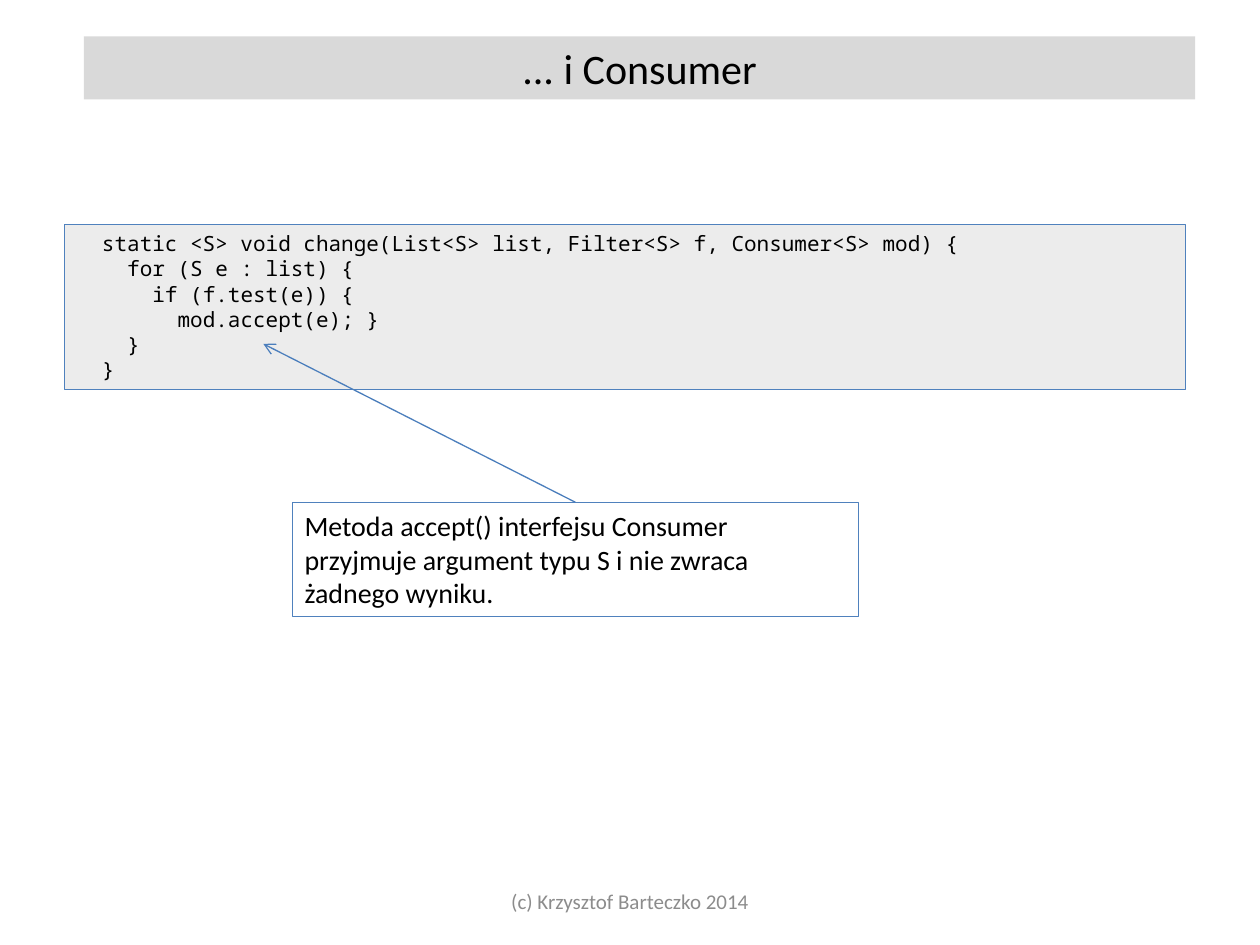
from dataclasses import dataclass

from lxml import etree
from pptx import Presentation
from pptx import util as u
from pptx.dml.color import RGBColor
from pptx.enum import shapes, text
from pptx.oxml import ns


@dataclass(frozen=True)
class Theme:
    """Colours, fonts and type sizes of the slide."""
    ink: str = "000000"
    muted: str = "8C8C8C"
    panel: str = "D9D9D9"
    border: str = "4F81BD"
    arrow: str = "4B7EBC"
    body_font: str = "Calibri"
    code_font: str = "Noto Sans Mono"
    title_size: float = 24
    note_size: float = 16
    code_size: float = 12
    footer_size: float = 12
    line_width: float = 0.75


theme = Theme()
LEFT, CENTER = text.PP_ALIGN.LEFT, text.PP_ALIGN.CENTER
TOP, MIDDLE = text.MSO_ANCHOR.TOP, text.MSO_ANCHOR.MIDDLE


def write(shape, lines, size, font=theme.body_font, color=theme.ink, align=LEFT, anchor=TOP):
    """Fill a shape with one formatted paragraph per line."""
    frame = shape.text_frame
    frame_format = {
        "word_wrap": True, "auto_size": text.MSO_AUTO_SIZE.NONE, "vertical_anchor": anchor,
        "margin_left": u.Pt(7.2), "margin_right": u.Pt(7.2),
        "margin_top": u.Pt(3.6), "margin_bottom": u.Pt(3.6),
    }
    for name, value in frame_format.items():
        setattr(frame, name, value)
    frame.text = "\n".join(lines)
    for paragraph in frame.paragraphs:
        paragraph.alignment = align
        for name, value in {"name": font, "size": u.Pt(size), "bold": False}.items():
            setattr(paragraph.font, name, value)
        paragraph.font.color.rgb = RGBColor.from_string(color)


def add_box(slide, left, top, width, height):
    """Add an unfilled rectangle with a thin border."""
    box = slide.shapes.add_shape(
        shapes.MSO_SHAPE.RECTANGLE, u.Pt(left), u.Pt(top), u.Pt(width), u.Pt(height))
    box.shadow.inherit = False
    box.fill.background()
    box.line.color.rgb = RGBColor.from_string(theme.border)
    box.line.width = u.Pt(theme.line_width)
    return box


deck = Presentation()
deck.slide_width, deck.slide_height = u.Pt(720), u.Pt(540)
slide = deck.slides.add_slide(deck.slide_layouts[5])

# Title and footer
title = slide.shapes.title
title_place = {"left": 48, "top": 20.8, "width": 635, "height": 36}
for name, value in title_place.items():
    setattr(title, name, u.Pt(value))
title.fill.solid()
title.fill.fore_color.rgb = RGBColor.from_string(theme.panel)
write(title, ["... i Consumer"], theme.title_size, align=CENTER)

footer = slide.shapes.add_textbox(u.Pt(246), u.Pt(500.5), u.Pt(228), u.Pt(28.8))
write(footer, ["(c) Krzysztof Barteczko 2014"], theme.footer_size,
      color=theme.muted, align=CENTER, anchor=MIDDLE)

# Code panel: nesting depth and text of each line
code_lines = [
    (1, "static <S> void change(List<S> list, Filter<S> f, Consumer<S> mod) {"),
    (2, "for (S e : list) {"),
    (3, "if (f.test(e)) {"),
    (4, "mod.accept(e); }"),
    (2, "}"),
    (1, "}"),
]
INDENT_STEP = 14.4
code = add_box(slide, 36.8, 128.3, 640.6, 94.3)
code.fill.solid()
code.fill.fore_color.rgb = RGBColor.from_string(theme.panel)
panel_color = code.fill._xPr.find(ns.qn("a:solidFill"))[0]
etree.SubElement(panel_color, ns.qn("a:alpha"), val="48000")
write(code, [line for _, line in code_lines], theme.code_size, font=theme.code_font)
for paragraph, (depth, _) in zip(code.text_frame.paragraphs, code_lines):
    paragraph.line_spacing = u.Pt(14.4)
    paragraph._p.get_or_add_pPr().set("marL", str(u.Pt(depth * INDENT_STEP)))

# Explanation and its arrow to the accept() call
note = add_box(slide, 167, 287, 323.5, 65.5)
write(note, ["Metoda accept() interfejsu Consumer przyjmuje argument typu S "
             "i nie zwraca żadnego wyniku."], theme.note_size)

arrow = slide.shapes.add_connector(
    shapes.MSO_CONNECTOR.STRAIGHT, u.Pt(328.75), u.Pt(287), u.Pt(150.5), u.Pt(196.5))
arrow.begin_connect(note, 0)
arrow.line.color.rgb = RGBColor.from_string(theme.arrow)
arrow.line.width = u.Pt(theme.line_width)
etree.SubElement(arrow.line._get_or_add_ln(), ns.qn("a:tailEnd"), type="arrow")
etree.SubElement(arrow._element.spPr, ns.qn("a:effectLst"))

deck.save("out.pptx")
